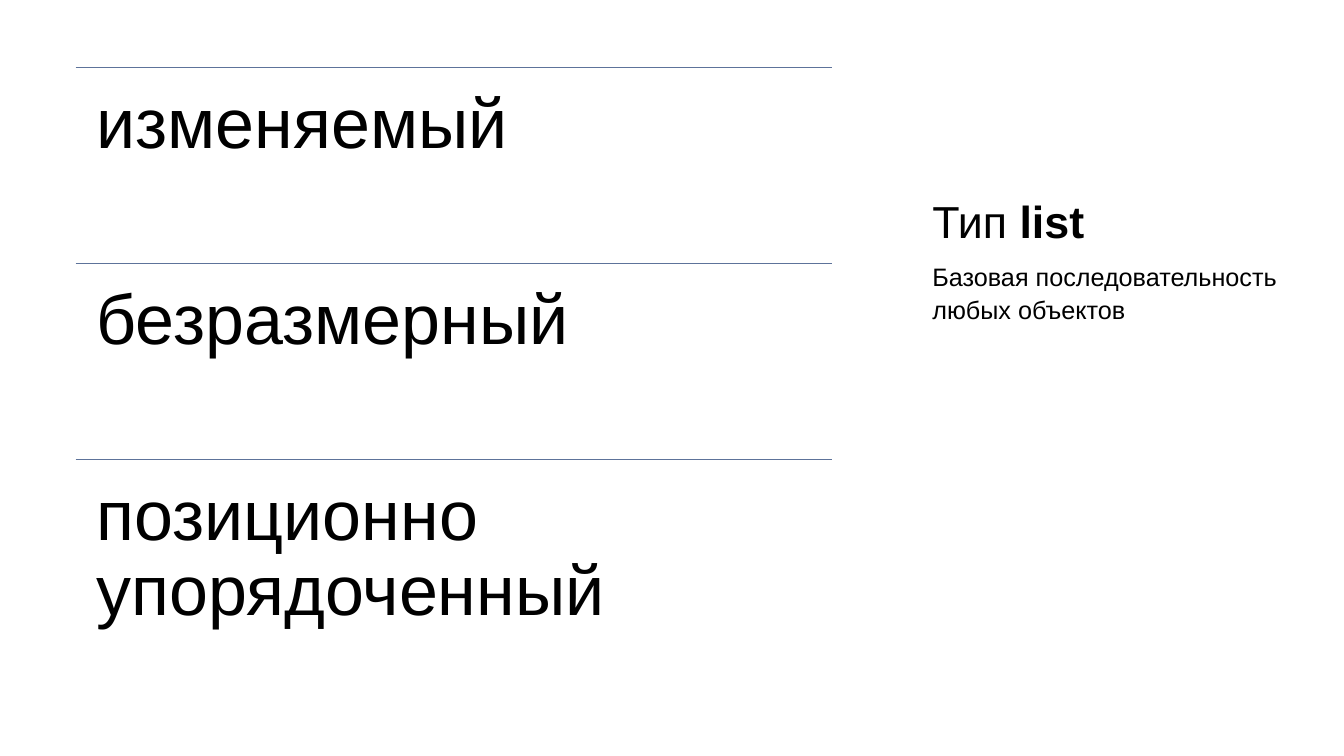
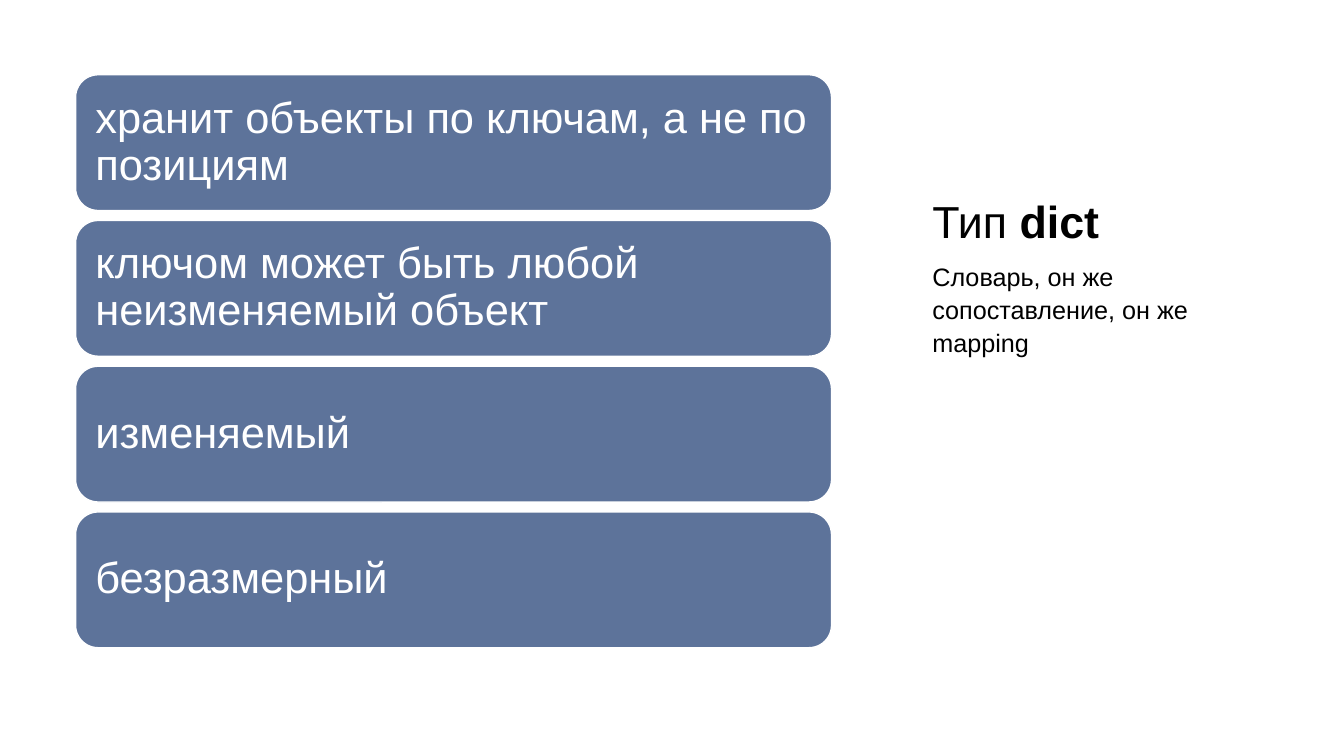
from pptx import Presentation
from pptx.dml.color import RGBColor
from pptx.enum.shapes import MSO_CONNECTOR, MSO_SHAPE
from pptx.enum.text import MSO_ANCHOR, PP_ALIGN
from pptx.oxml.ns import qn
from pptx.util import Pt
from lxml import etree

STRAIGHT = MSO_CONNECTOR.STRAIGHT
ROUNDED = MSO_SHAPE.ROUNDED_RECTANGLE
TOP, MIDDLE, BOTTOM = MSO_ANCHOR.TOP, MSO_ANCHOR.MIDDLE, MSO_ANCHOR.BOTTOM
LEFT = PP_ALIGN.LEFT

FONT = "Arial"
BLACK, WHITE, BLUE = "000000", "FFFFFF", "5D739A"

LIST_LEFT, LIST_WIDTH = 54, 540
SIDE_LEFT, SIDE_WIDTH = 666, 249

TITLE = {"size": 32, "color": BLACK, "anchor": BOTTOM, "inset": 0, "paragraph": {}}
SUBTITLE = {"size": 18, "color": BLACK, "anchor": TOP, "inset": 0,
            "paragraph": {"line_spacing": 1.1, "space_before": Pt(8)}}
ROW = {"size": 50, "color": BLACK, "anchor": TOP, "inset": 15,
       "paragraph": {"line_spacing": 0.9}}
CARD = {"size": 31, "color": WHITE, "anchor": MIDDLE, "inset": 9.4,
        "paragraph": {"line_spacing": 0.9}}


def rgb(value):
    return RGBColor.from_string(value)


class TypeDeck:
    """A deck of Python types: properties on the left, type name on the right."""

    def __init__(self):
        self.deck = Presentation()
        self.deck.slide_width, self.deck.slide_height = Pt(960), Pt(540)
        self.page = None

    def new_page(self, type_name, description):
        self.page = self.deck.slides.add_slide(self.deck.slide_layouts[6])
        self.text_box(SIDE_LEFT, 47.5, SIDE_WIDTH, 129.6,
                      [("Тип ", False), (type_name, True)], TITLE)
        self.text_box(SIDE_LEFT, 184.3, SIDE_WIDTH, 283.7,
                      [(description, False)], SUBTITLE)

    def set_text(self, shape, spans, style):
        """Fill a shape with one paragraph of (text, bold) spans."""
        frame = shape.text_frame
        inset = Pt(style["inset"])
        frame_format = {"word_wrap": True, "vertical_anchor": style["anchor"],
                        "margin_left": inset, "margin_right": inset,
                        "margin_top": inset, "margin_bottom": inset}
        for name, value in frame_format.items():
            setattr(frame, name, value)
        para = frame.paragraphs[0]
        for name, value in {"alignment": LEFT, **style["paragraph"]}.items():
            setattr(para, name, value)
        for text, bold in spans:
            span = para.add_run()
            span.text = text
            font_format = {"name": FONT, "size": Pt(style["size"]), "bold": bold}
            for name, value in font_format.items():
                setattr(span.font, name, value)
            span.font.color.rgb = rgb(style["color"])

    def text_box(self, left, top, width, height, spans, style):
        box = self.page.shapes.add_textbox(Pt(left), Pt(top), Pt(width), Pt(height))
        self.set_text(box, spans, style)

    def rule(self, left, top, width):
        line = self.page.shapes.add_connector(
            STRAIGHT, Pt(left), Pt(top), Pt(left + width), Pt(top))
        line.line.color.rgb = rgb(BLUE)
        line.line.width = Pt(0.5)
        etree.SubElement(line._element.spPr, qn("a:effectLst"))

    def card(self, left, top, width, height, text):
        box = self.page.shapes.add_shape(
            ROUNDED, Pt(left), Pt(top), Pt(width), Pt(height))
        box.shadow.inherit = False
        box.fill.solid()
        box.fill.fore_color.rgb = rgb(BLUE)
        box.line.color.rgb = rgb(WHITE)
        box.line.width = Pt(1)
        self.set_text(box, [(text, False)], CARD)

    def ruled_rows(self, texts, top=48.2, height=139.8):
        for index, text in enumerate(texts):
            row_top = top + index * height
            self.rule(LIST_LEFT, row_top, LIST_WIDTH)
            self.text_box(LIST_LEFT, row_top, LIST_WIDTH, height,
                          [(text, False)], ROW)

    def card_stack(self, texts, top=53.4, height=97, gap=7.1):
        for index, text in enumerate(texts):
            self.card(LIST_LEFT, top + index * (height + gap),
                      LIST_WIDTH, height, text)


def main():
    types = TypeDeck()
    types.new_page("list", "Базовая последовательность любых объектов")
    types.ruled_rows(["изменяемый", "безразмерный", "позиционно упорядоченный"])

    types.new_page("dict", "Словарь, он же сопоставление, он же mapping")
    types.card_stack(["хранит объекты по ключам, а не по позициям",
                      "ключом может быть любой неизменяемый объект",
                      "изменяемый",
                      "безразмерный"])
    types.deck.save("out.pptx")


if __name__ == "__main__":
    main()
